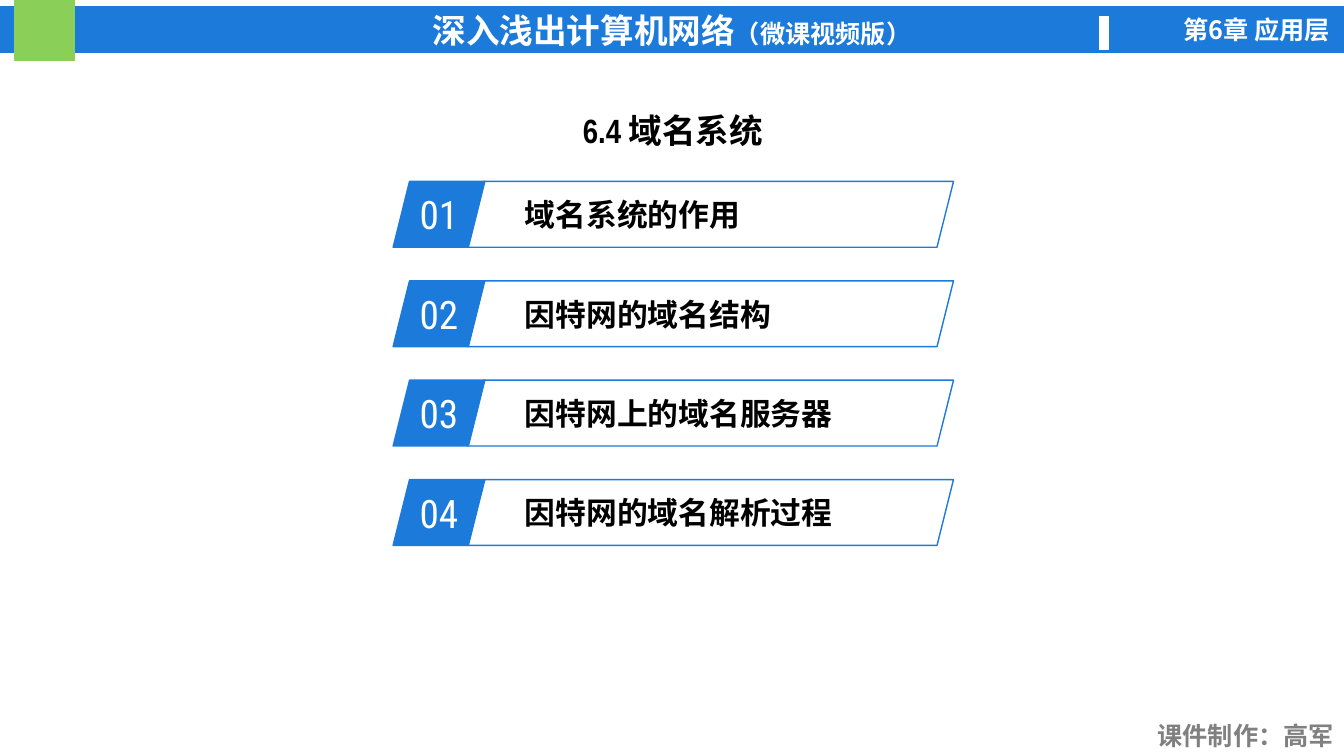
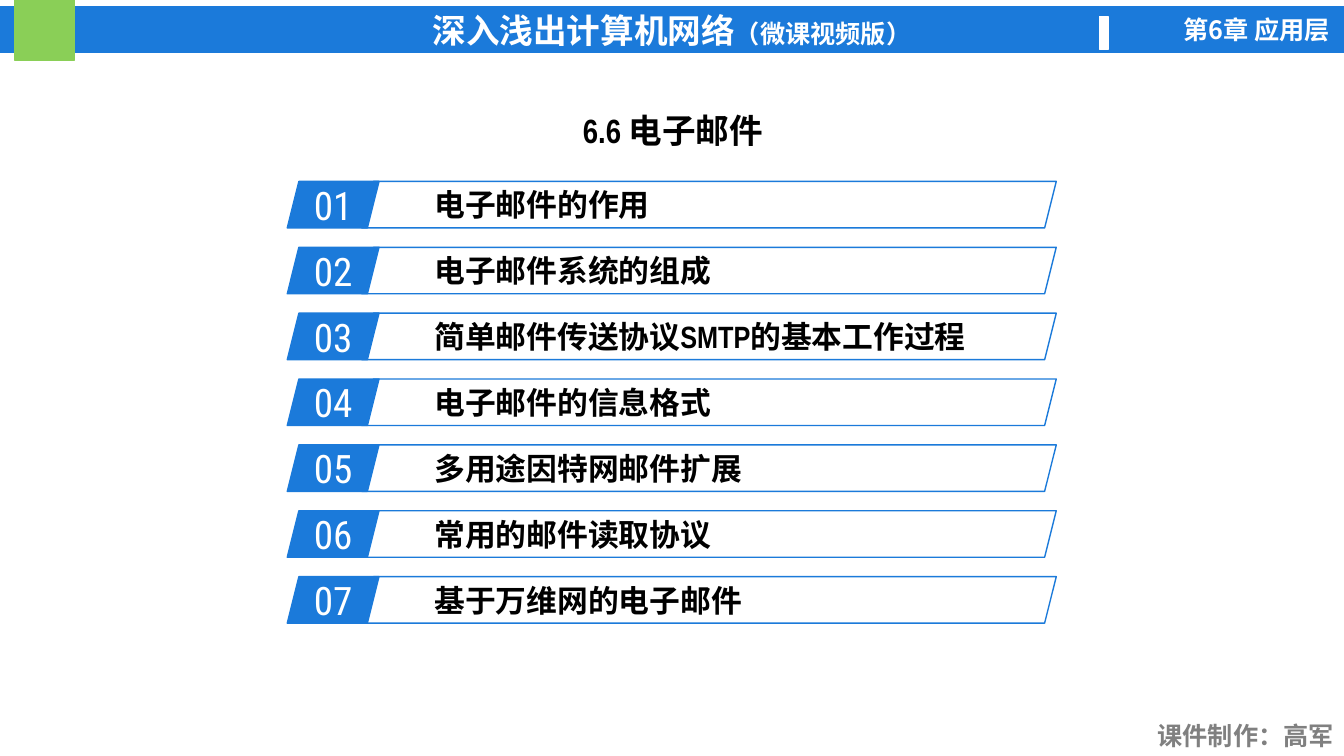
from lxml import etree
from pptx import Presentation
from pptx.dml.color import RGBColor
from pptx.enum.shapes import MSO_SHAPE
from pptx.enum.text import MSO_ANCHOR, PP_ALIGN
from pptx.oxml.ns import qn
from pptx.util import Pt

RECTANGLE, PARALLELOGRAM = MSO_SHAPE.RECTANGLE, MSO_SHAPE.PARALLELOGRAM
LEFT, CENTER, RIGHT = PP_ALIGN.LEFT, PP_ALIGN.CENTER, PP_ALIGN.RIGHT
TOP, MIDDLE = MSO_ANCHOR.TOP, MSO_ANCHOR.MIDDLE

BLUE, GREEN, GRAY = "1B7ADA", "8ACF57", "808080"
WHITE, BLACK = "FFFFFF", "000000"
BODY_FONT, CHINESE_FONT, NUMBER_FONT = "Arial Narrow", "Noto Sans CJK SC", "Roboto Condensed"
SLIDE_WIDTH, SLIDE_HEIGHT = 960, 540

LIST_TOP = 129.6
NUMBER_WIDTH = 65.5
NUMBER_STEP = 53.3  # from the left of a number to the left of its entry


def color(hex_string):
    return RGBColor.from_string(hex_string)


class Deck:
    """Holds the presentation, its style and the slide being filled."""

    def __init__(self):
        self.presentation = Presentation()
        self.presentation.slide_width = Pt(SLIDE_WIDTH)
        self.presentation.slide_height = Pt(SLIDE_HEIGHT)
        self.slide = None

    def set_text(self, shape, runs, text_color, align, anchor=MIDDLE, font=BODY_FONT, bold=True):
        """Fill a shape with one paragraph made of (text, size) runs."""
        frame = shape.text_frame
        frame.word_wrap = True
        frame.vertical_anchor = anchor
        paragraph = frame.paragraphs[0]
        paragraph.alignment = align
        for text, size in runs:
            run = paragraph.add_run()
            run.text = text
            run.font.size = Pt(size)
            run.font.bold = bold
            run.font.name = font
            run.font.color.rgb = color(text_color)
            properties = run._r.get_or_add_rPr()
            east_asian = etree.SubElement(properties, qn("a:ea"))
            east_asian.set("typeface", CHINESE_FONT)

    def shape(self, kind, left, top, width, height, line, fill=None):
        shape = self.slide.shapes.add_shape(kind, Pt(left), Pt(top), Pt(width), Pt(height))
        shape.shadow.inherit = False
        shape.line.color.rgb = color(line)
        shape.line.width = Pt(1)
        if fill:
            shape.fill.solid()
            shape.fill.fore_color.rgb = color(fill)
        else:
            shape.fill.background()
        return shape

    def label(self, left, top, width, height, text, size, text_color, align, **style):
        box = self.slide.shapes.add_textbox(Pt(left), Pt(top), Pt(width), Pt(height))
        self.set_text(box, [(text, size)], text_color, align, **style)

    def frame(self):
        """Draw the header band and the author line that every slide carries."""
        band = self.shape(RECTANGLE, 0, 5, SLIDE_WIDTH, 32.4, BLUE, BLUE)
        self.set_text(band, [("深入浅出计算机网络", 24), ("（微课视频版）", 18)], WHITE, CENTER)
        self.shape(RECTANGLE, 10.4, 0, 43, 43, GREEN, GREEN)
        self.shape(RECTANGLE, 785.5, 11.7, 6, 23.5, WHITE, WHITE)
        self.label(800, 7, 157, 29, "第6章 应用层", 18, WHITE, RIGHT,
                   anchor=TOP, font=CHINESE_FONT)
        self.label(816.5, 510.6, 143.4, 29, "课件制作：高军", 18, GRAY, RIGHT, anchor=TOP)

    def entry(self, number, text, left, top, width, height):
        tab = self.shape(PARALLELOGRAM, left, top, NUMBER_WIDTH, height, BLUE, BLUE)
        self.set_text(tab, [(f"{number:02}", 28)], WHITE, CENTER, font=NUMBER_FONT, bold=False)
        bar = self.shape(PARALLELOGRAM, left + NUMBER_STEP, top, width, height, BLUE)
        self.set_text(bar, [(text, 22)], BLACK, LEFT)

    def contents_slide(self, title, entries, left, width, height, pitch):
        self.slide = self.presentation.slides.add_slide(self.presentation.slide_layouts[6])
        self.frame()
        self.label(304, 76.5, 353.5, 33, title, 24, BLACK, CENTER)
        for index, text in enumerate(entries):
            self.entry(index + 1, text, left, LIST_TOP + index * pitch, width, height)


def main():
    deck = Deck()
    deck.contents_slide(
        "6.4 域名系统",
        ["域名系统的作用", "因特网的域名结构", "因特网上的域名服务器", "因特网的域名解析过程"],
        left=280.8, width=347, height=47, pitch=71)
    deck.contents_slide(
        "6.6 电子邮件",
        ["电子邮件的作用", "电子邮件系统的组成", "简单邮件传送协议SMTP的基本工作过程",
         "电子邮件的信息格式", "多用途因特网邮件扩展", "常用的邮件读取协议",
         "基于万维网的电子邮件"],
        left=205.2, width=496, height=33.2, pitch=47.05)
    deck.presentation.save("out.pptx")


if __name__ == "__main__":
    main()
